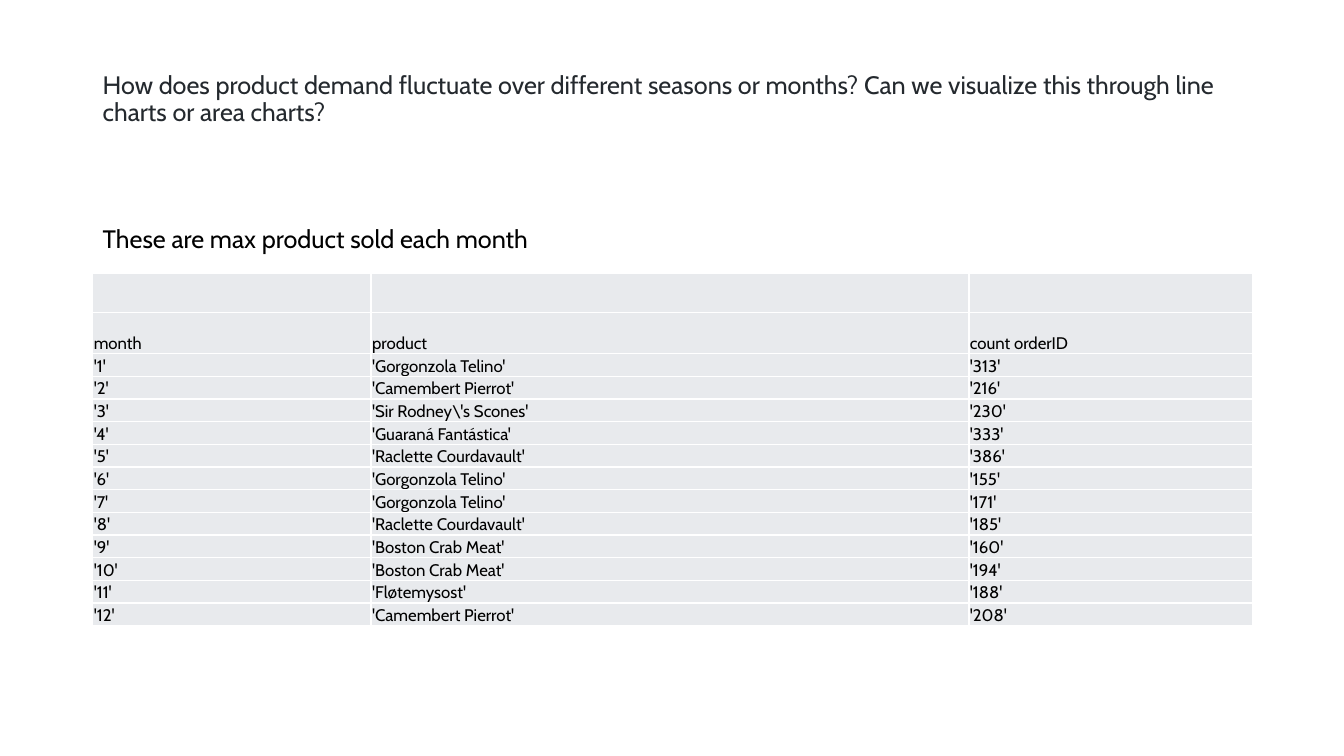
from lxml.etree import SubElement
from pptx import Presentation
from pptx.dml.color import RGBColor
from pptx.enum.text import MSO_ANCHOR, MSO_AUTO_SIZE
from pptx.oxml.ns import qn
from pptx.util import Inches, Pt

QUESTION = ("How does product demand fluctuate over different seasons or months? "
            "Can we visualize this through line charts or area charts?")
CAPTION = "These are max product sold each month"
HEADINGS = ("month", "product", "count orderID")
BEST_SELLERS = [
    ("Gorgonzola Telino", 313),
    ("Camembert Pierrot", 216),
    (r"Sir Rodney\'s Scones", 230),
    ("Guaraná Fantástica", 333),
    ("Raclette Courdavault", 386),
    ("Gorgonzola Telino", 155),
    ("Gorgonzola Telino", 171),
    ("Raclette Courdavault", 185),
    ("Boston Crab Meat", 160),
    ("Boston Crab Meat", 194),
    ("Fløtemysost", 188),
    ("Camembert Pierrot", 208),
]

INK = RGBColor(0x24, 0x29, 0x2E)
BLACK = RGBColor(0, 0, 0)
WHITE = RGBColor(0xFF, 0xFF, 0xFF)
CELL_GREY = RGBColor(0xE8, 0xEA, 0xED)
FONT = "Cabin"

LEFT, WIDTH = 0.92, 11.5
TABLE_TOP, TABLE_HEIGHT = 2.71, 3.5
COLUMN_WIDTHS = (2.76, 5.93, 2.81)
TOP_ROWS = [0.39, 0.41]

QUESTION_FRAME = {"word_wrap": True, "vertical_anchor": MSO_ANCHOR.TOP,
                  "margin_top": Inches(0.32)}
CAPTION_FRAME = {"word_wrap": False, "auto_size": MSO_AUTO_SIZE.NONE}
CELL_FORMAT = {"vertical_anchor": MSO_ANCHOR.BOTTOM, "margin_left": Inches(0.01),
               "margin_right": Inches(0.01), "margin_top": Inches(0.01),
               "margin_bottom": 0}


def apply_format(target, values):
    for name, value in values.items():
        setattr(target, name, value)


def write(frame, text, size, color):
    para = frame.paragraphs[0]
    apply_format(para.font, {"name": FONT, "size": Pt(size)})
    if text:
        span = para.add_run()
        span.text = text
        apply_format(span.font, {"name": FONT, "size": Pt(size)})
        span.font.color.rgb = color
    return para


def add_text(page, place, text, color, frame_format):
    box = page.shapes.add_textbox(*map(Inches, place))
    apply_format(box.text_frame, frame_format)
    return write(box.text_frame, text, 18, color)


def add_borders(cell):
    properties = cell._tc.get_or_add_tcPr()
    for side in ("a:lnL", "a:lnR", "a:lnT", "a:lnB"):
        line = SubElement(properties, qn(side), w=str(Pt(1)))
        fill = SubElement(line, qn("a:solidFill"))
        SubElement(fill, qn("a:srgbClr"), val=str(WHITE))


def add_sales_table(page):
    months = [tuple(f"'{value}'" for value in (month, product, count))
              for month, (product, count) in enumerate(BEST_SELLERS, 1)]
    rows = [("",) * len(HEADINGS), HEADINGS] + months
    month_height = (TABLE_HEIGHT - sum(TOP_ROWS)) / len(months)
    heights = TOP_ROWS + [month_height] * len(months)
    table = page.shapes.add_table(
        len(rows), len(HEADINGS), Inches(LEFT), Inches(TABLE_TOP),
        Inches(WIDTH), Inches(TABLE_HEIGHT)).table
    apply_format(table, {"first_row": False, "horz_banding": False})
    for column, width in zip(table.columns, COLUMN_WIDTHS):
        column.width = Inches(width)
    for row, height, texts in zip(table.rows, heights, rows):
        row.height = Inches(height)
        for cell, text in zip(row.cells, texts):
            apply_format(cell, CELL_FORMAT)
            add_borders(cell)
            cell.fill.solid()
            cell.fill.fore_color.rgb = CELL_GREY
            write(cell.text_frame, text, 12, BLACK)


def main():
    deck = Presentation()
    apply_format(deck, {"slide_width": Inches(13.33), "slide_height": Inches(7.5)})
    page = deck.slides.add_slide(deck.slide_layouts[6])
    question = add_text(page, (LEFT, 0.4, WIDTH, 1.45), QUESTION, INK, QUESTION_FRAME)
    question.line_spacing = 0.9
    add_sales_table(page)
    add_text(page, (LEFT, 2.17, 4.55, 0.71), CAPTION, BLACK, CAPTION_FRAME)
    deck.save("out.pptx")


if __name__ == "__main__":
    main()
